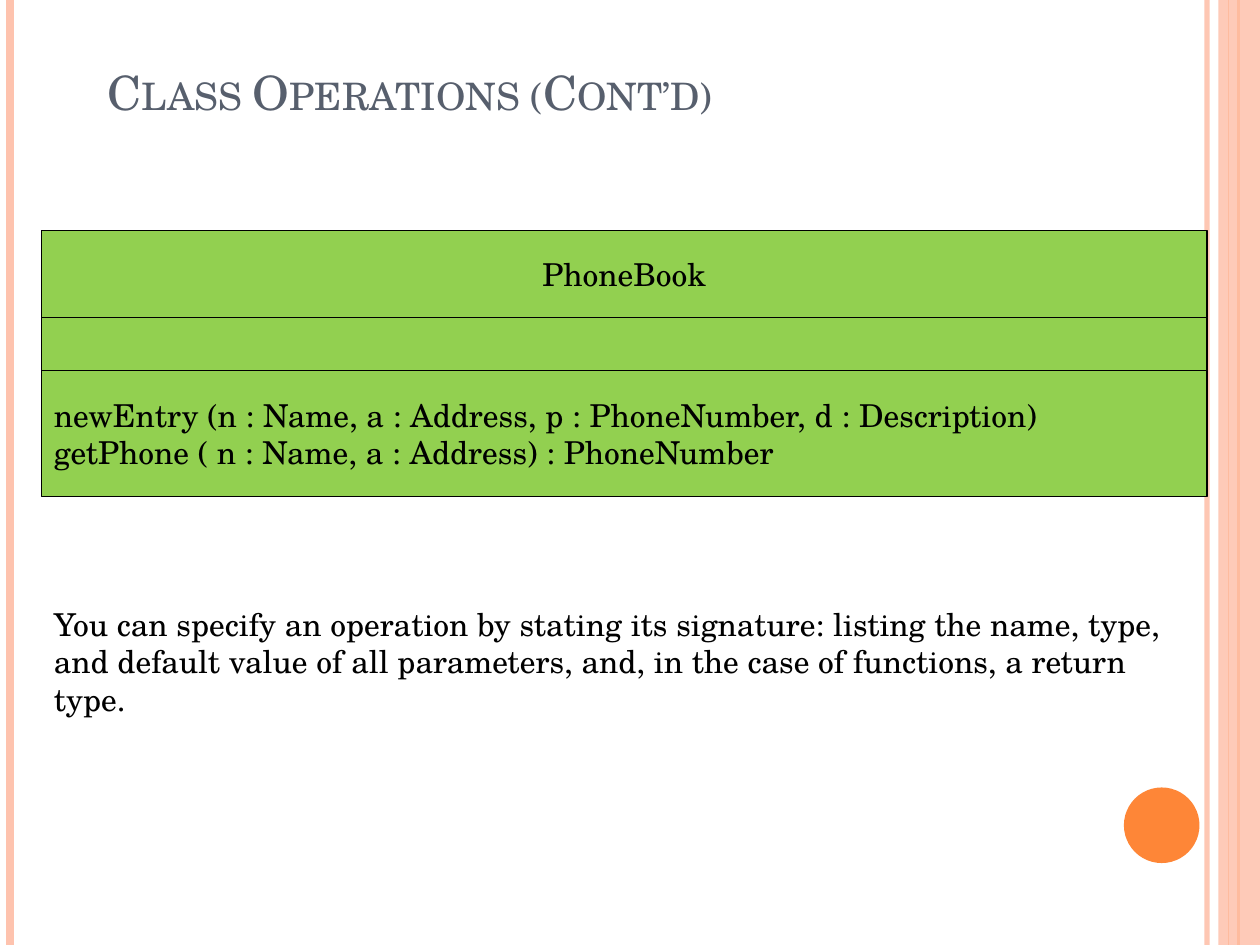
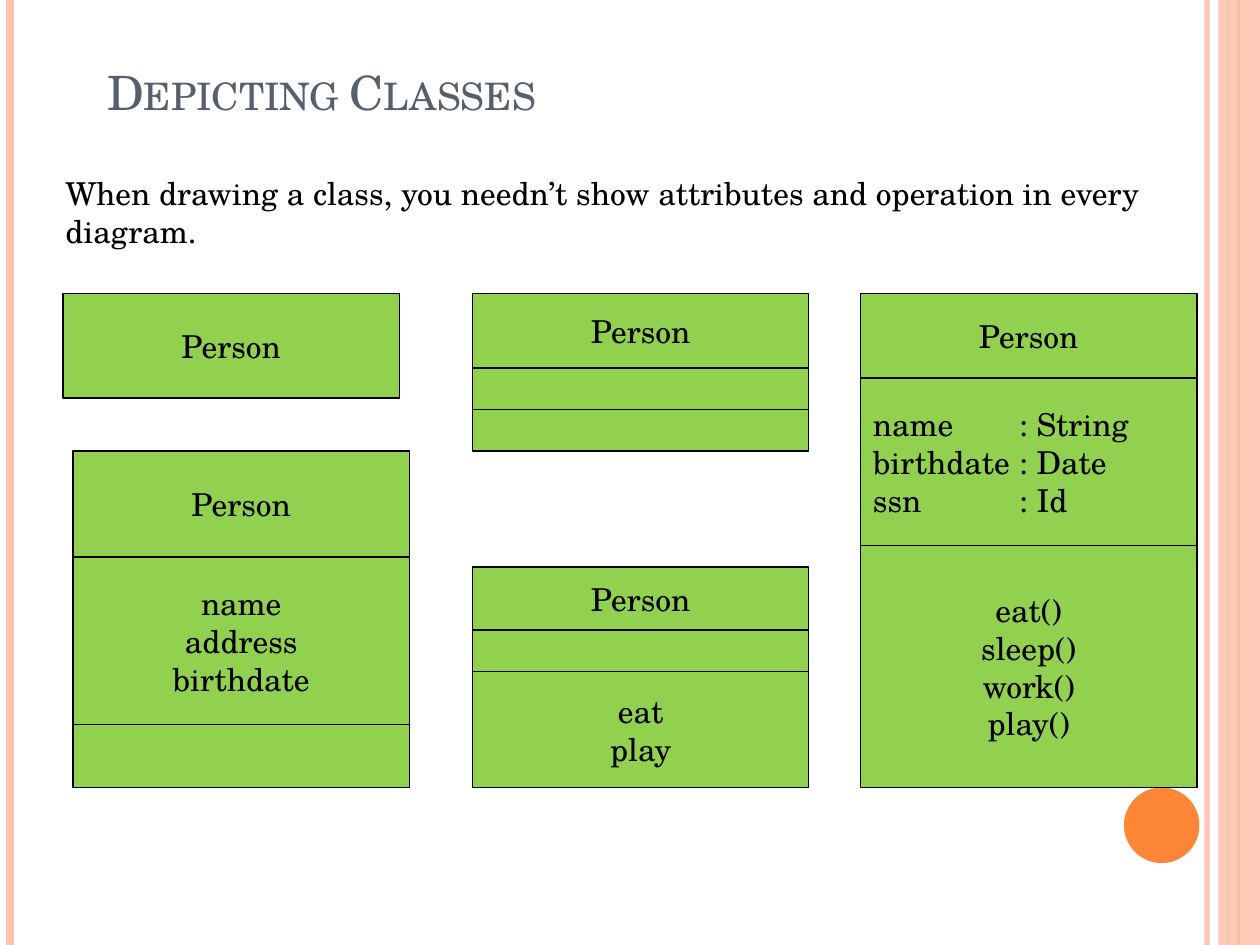
from lxml import etree
from pptx import Presentation
from pptx.dml.color import RGBColor
from pptx.enum import shapes, text
from pptx.oxml import ns
from pptx.util import Inches, Pt

FONT = "TeX Gyre Schola"
BLACK, SLATE, GREEN = "000000", "575F6D", "92D050"
ORANGE, PEACH = "FE8637", "FEC3AE"
LEFT, CENTER = text.PP_ALIGN.LEFT, text.PP_ALIGN.CENTER

# Vertical rules: x, colour, width in points, opacity in percent
RULES = [(9.58, PEACH, 3, 93), (0.08, PEACH, 4.5, 100),
         (9.83, ORANGE, 1.5, 100), (9.75, ORANGE, 0.75, 100)]
BAND_OPACITY = 87

# Each class: left, top, width, compartments (height, lines, alignment)
SLIDES = [
    {
        "title": "Class Operations (Cont’d)",
        "note": "You can specify an operation by stating its signature: listing the "
                "name, type, and default value of all parameters, and, in the case "
                "of functions, a return type.",
        "note_box": (0.33, 4.75, 9.17, 1.3),
        "classes": [
            (0.33, 1.83, 9.25, [
                (0.69, "PhoneBook", CENTER),
                (0.42, "", CENTER),
                (1, "newEntry (n : Name, a : Address, p : PhoneNumber, d : Description)\n"
                    "getPhone ( n : Name, a : Address) : PhoneNumber", LEFT)]),
        ],
    },
    {
        "title": "Depicting Classes",
        "note": "When drawing a class, you needn’t show attributes and operation "
                "in every diagram.",
        "note_box": (0.42, 1.33, 9.13, 0.9),
        "classes": [
            (6.83, 2.33, 2.67, [
                (0.67, "Person", CENTER),
                (1.33, "name\t: String\nbirthdate\t: Date\nssn\t: Id", LEFT),
                (1.92, "eat()\nsleep()\nwork()\nplay()", CENTER)]),
            (0.5, 2.33, 2.67, [(0.83, "Person", CENTER)]),
            (0.58, 3.58, 2.67, [
                (0.84, "Person", CENTER),
                (1.33, "name\naddress\nbirthdate", CENTER),
                (0.5, "", CENTER)]),
            (3.75, 4.5, 2.67, [
                (0.5, "Person", CENTER),
                (0.33, "", CENTER),
                (0.92, "eat\nplay", CENTER)]),
            (3.75, 2.33, 2.67, [
                (0.59, "Person", CENTER),
                (0.33, "", CENTER),
                (0.33, "", CENTER)]),
        ],
    },
]
TYPE_COLUMN = 1.16


def paint(color_format, color, opacity=100):
    color_format.fore_color.rgb = RGBColor.from_string(color)
    if opacity < 100:
        for node in color_format.fore_color._xFill.iter(ns.qn("a:srgbClr")):
            etree.SubElement(node, ns.qn("a:alpha"), val=str(opacity * 1000))


def write(text_frame, words, size, color, alignment=LEFT):
    text_frame.text = words
    text_frame.word_wrap = True
    text_frame.auto_size = text.MSO_AUTO_SIZE.NONE
    for paragraph in text_frame.paragraphs:
        paragraph.alignment = alignment
        for run in paragraph.runs:
            run.font.name = FONT
            run.font.size = Pt(size)
            run.font.color.rgb = RGBColor.from_string(color)


presentation = Presentation()
presentation.slide_width, presentation.slide_height = Inches(10), Inches(7.5)

for content in SLIDES:
    slide = presentation.slides.add_slide(presentation.slide_layouts[5])

    # Shared frame: rules, right band and disc
    for x, color, width, opacity in RULES:
        rule = slide.shapes.add_connector(
            shapes.MSO_CONNECTOR.STRAIGHT, Inches(x), 0, Inches(x), Inches(7.5))
        rule.line.width = Pt(width)
        rule.line.fill.solid()
        paint(rule.line.fill, color, opacity)
        etree.SubElement(rule._element.spPr, ns.qn("a:effectLst"))
    for kind, box, color, opacity in [
            (shapes.MSO_SHAPE.RECTANGLE, (9.67, 0, 0.33, 7.5), PEACH, BAND_OPACITY),
            (shapes.MSO_SHAPE.OVAL, (8.92, 6.25, 0.6, 0.6), ORANGE, 100)]:
        shape = slide.shapes.add_shape(kind, *map(Inches, box))
        shape.shadow.inherit = False
        shape.line.fill.background()
        shape.fill.solid()
        paint(shape.fill, color, opacity)

    # Title in small capitals
    title = slide.shapes.title
    title.left, title.top, title.width, title.height = map(Inches, (0.75, 0.42, 8.58, 0.58))
    write(title.text_frame, content["title"], 27, SLATE)
    title.text_frame.vertical_anchor = text.MSO_ANCHOR.BOTTOM
    title.text_frame.paragraphs[0].runs[0].font._element.set("cap", "small")

    # Explanation
    note = slide.shapes.add_textbox(*map(Inches, content["note_box"]))
    write(note.text_frame, content["note"], 18, BLACK)

    # Class diagrams: compartments stacked from the top down
    for left, top, width, compartments in content["classes"]:
        parent = slide.shapes
        if len(compartments) > 1:
            parent = slide.shapes.add_group_shape().shapes
        for height, lines, alignment in compartments:
            shape = parent.add_shape(
                shapes.MSO_SHAPE.RECTANGLE, *map(Inches, (left, top, width, height)))
            shape.shadow.inherit = False
            shape.fill.solid()
            paint(shape.fill, GREEN)
            shape.line.width = Pt(0.75)
            shape.line.fill.solid()
            paint(shape.line.fill, BLACK)
            write(shape.text_frame, lines, 18, BLACK, alignment)
            shape.text_frame.vertical_anchor = text.MSO_ANCHOR.MIDDLE
            # Align the attribute types on a tab stop
            if "\t" in lines:
                for paragraph in shape.text_frame.paragraphs:
                    tabs = etree.SubElement(paragraph._p.get_or_add_pPr(), ns.qn("a:tabLst"))
                    etree.SubElement(tabs, ns.qn("a:tab"),
                                     pos=str(Inches(TYPE_COLUMN)), algn="l")
            top += height

presentation.save("out.pptx")
